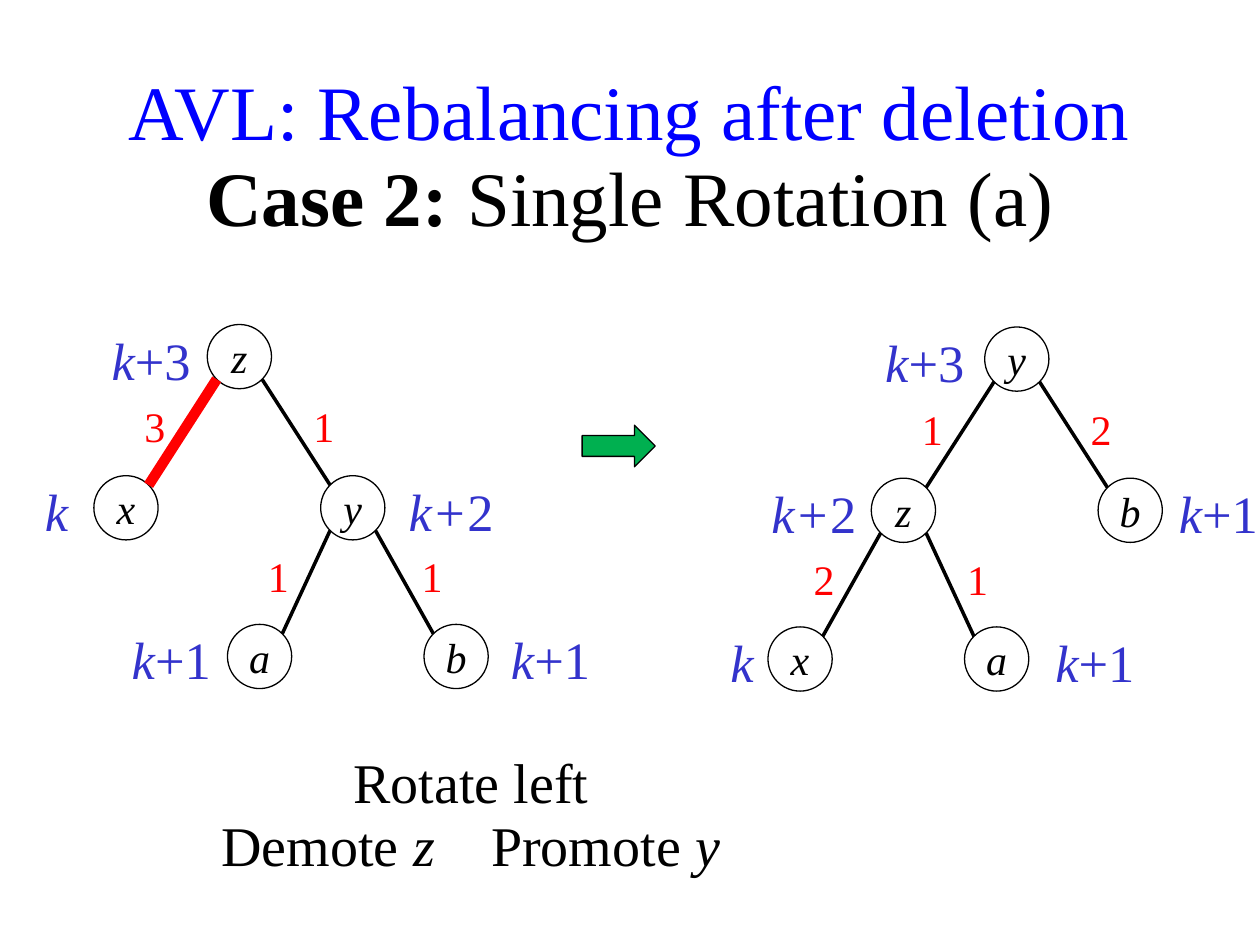
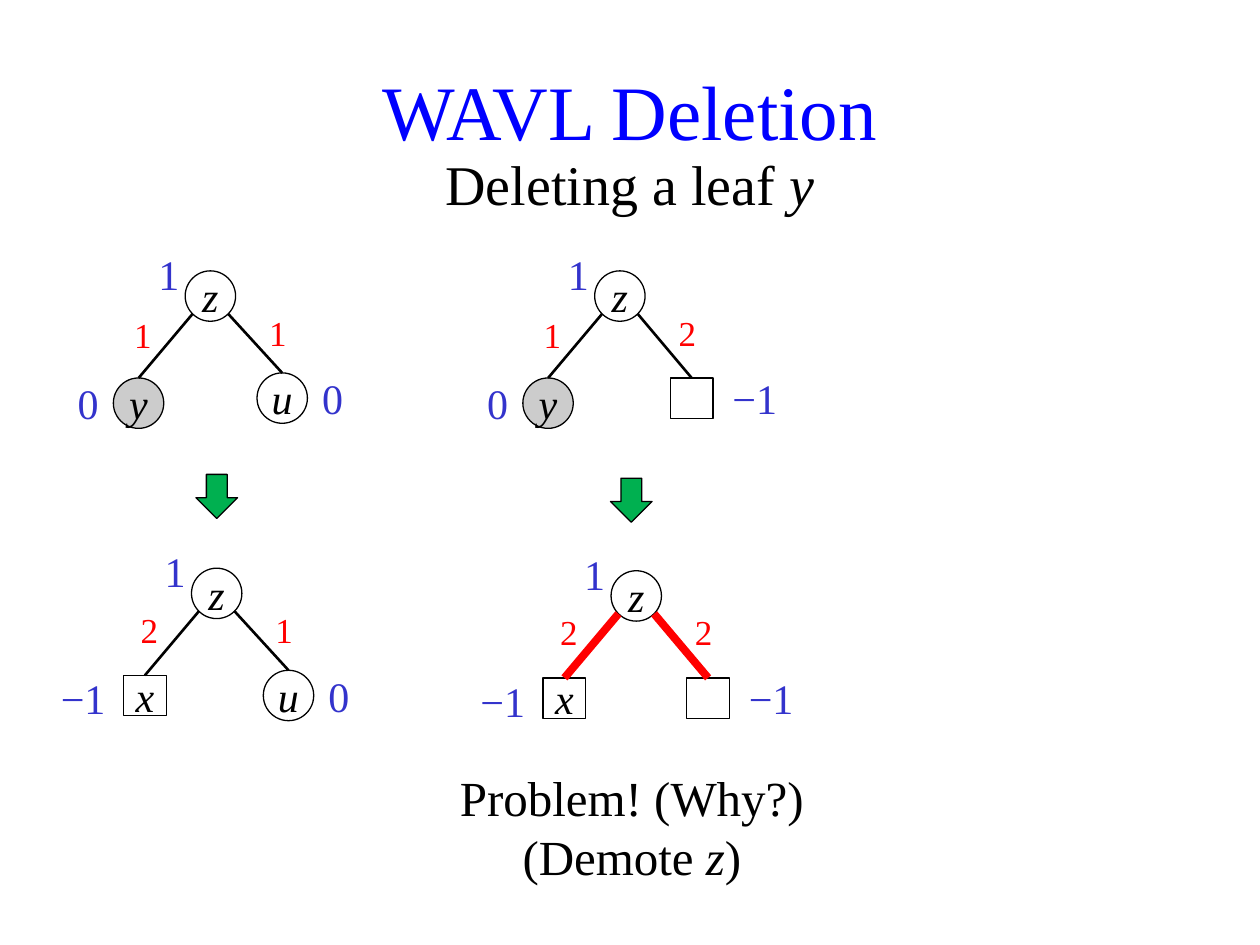
from dataclasses import dataclass
from typing import Any, NamedTuple

import pptx
import pptx.dml.color
import pptx.enum.shapes
import pptx.enum.text
import pptx.oxml
import pptx.oxml.ns
import pptx.util

SHAPE = pptx.enum.shapes.MSO_SHAPE
ALIGN = pptx.enum.text.PP_ALIGN
ANCHOR = pptx.enum.text.MSO_ANCHOR

# The slide is a grid of square cells: 100 columns by 75 rows.
COLUMNS, ROWS = 100, 75
CELL = pptx.util.Inches(10) // COLUMNS

FONT = "Times New Roman"
BLACK, TITLE_BLUE, RANK_BLUE = "000000", "0000FF", "3333CC"
RED, GREEN, GREY = "FF0000", "00B050", "CCCCCC"
NO_INSETS = dict(margin_left=0, margin_right=0, margin_top=0, margin_bottom=0)
OUTLINE = 0.75
DIAGONAL = 0.5 ** 0.5


class Run(NamedTuple):
    text: str
    italic: bool = False
    bold: bool = False


class Box(NamedTuple):
    left: float
    top: float
    width: float
    height: float


class Node(NamedTuple):
    """dx, dy run from the root to the node; rank_dx, rank_dy from the node to its rank."""
    label: str
    dx: float
    dy: float
    rank: tuple[Run, ...]
    rank_dx: float
    rank_dy: float = 0.2
    parent: int = 0
    weight: str = ""
    broken: bool = False
    external: bool = False
    fill: str | None = None


@dataclass
class TreeStyle:
    diameter: float
    rank_size: int
    weight_size: int
    edge_width: float
    broken_width: float
    weight_dx: float
    weight_dy: float
    edges_end_on_top: bool


@dataclass
class Tree:
    root_x: float
    root_y: float
    nodes: list[Node]
    mirror: int = 1


def cells(count: float) -> int:
    return round(count * CELL)


def color(hex_value: str) -> pptx.dml.color.RGBColor:
    return pptx.dml.color.RGBColor.from_string(hex_value)


def assign(target: Any, values: dict[str, Any]) -> None:
    for name, value in values.items():
        setattr(target, name, value)


def around(x: float, y: float, width: float, height: float) -> Box:
    return Box(x - width / 2, y - height / 2, width, height)


def emu(box: Box) -> list[int]:
    return [cells(side) for side in box]


def write(frame: Any, lines: list[tuple[Run, ...]], size: float, hex_color: str,
          align: Any = ALIGN.CENTER, **frame_format: Any) -> None:
    """Fill a text frame with one paragraph per line."""
    assign(frame, dict(word_wrap=True) | frame_format)
    for index, line in enumerate(lines):
        paragraph = frame.add_paragraph() if index else frame.paragraphs[0]
        paragraph.alignment = align
        for part in line:
            run = paragraph.add_run()
            run.text = part.text
            assign(run.font, dict(name=FONT, size=pptx.util.Pt(size),
                                  italic=part.italic, bold=part.bold))
            run.font.color.rgb = color(hex_color)


def add_text(shapes: Any, box: Box, lines: list[tuple[Run, ...]], size: float,
             hex_color: str = BLACK, **options: Any) -> Any:
    frame = shapes.add_textbox(*emu(box)).text_frame
    write(frame, lines, size, hex_color, **options)
    return frame


def add_label(shapes: Any, x: float, y: float, width: float, runs: tuple[Run, ...],
              size: float, hex_color: str) -> None:
    add_text(shapes, around(x, y, width, 5), [runs], size, hex_color,
             vertical_anchor=ANCHOR.MIDDLE, **NO_INSETS)


def add_outlined(shapes: Any, preset: Any, box: Box, fill: str | None) -> Any:
    shape = shapes.add_shape(preset, *emu(box))
    shape.shadow.inherit = False
    if fill:
        shape.fill.solid()
        shape.fill.fore_color.rgb = color(fill)
    else:
        shape.fill.background()
    shape.line.color.rgb = color(BLACK)
    shape.line.width = pptx.util.Pt(OUTLINE)
    return shape


def add_step_arrow(slide: Any, x: float, y: float, length: float, rotation: float = 0) -> None:
    arrow = add_outlined(slide.shapes, SHAPE.RIGHT_ARROW, around(x, y, length, 3.3), GREEN)
    arrow.rotation = rotation


def add_edge(shapes: Any, start: tuple[float, float], end: tuple[float, float],
             width: float, hex_color: str) -> Any:
    edge = shapes.add_connector(pptx.enum.shapes.MSO_CONNECTOR.STRAIGHT,
                                *(cells(value) for value in start + end))
    edge.line.color.rgb = color(hex_color)
    edge.line.width = pptx.util.Pt(width)
    pptx.oxml.ns.qn("a:effectLst")
    edge._element.spPr.append(pptx.oxml.parse_xml(
        f"<a:effectLst {pptx.oxml.ns.nsdecls('a')}/>"))
    return edge


def add_tree(slide: Any, tree: Tree, style: TreeStyle) -> None:
    """Draw nodes with ranks, and edges with rank differences, as one group."""
    shapes = slide.shapes.add_group_shape().shapes
    places = [(tree.root_x + tree.mirror * node.dx, tree.root_y + node.dy)
              for node in tree.nodes]
    reach = style.diameter / 2 * DIAGONAL
    for index, (node, (x, y)) in enumerate(zip(tree.nodes, places)):
        if node.external:
            shape = add_outlined(shapes, SHAPE.RECTANGLE, around(x, y, 3.4, 3.2), node.fill)
        else:
            shape = add_outlined(shapes, SHAPE.OVAL,
                                 around(x, y, style.diameter, style.diameter), node.fill)
        if node.label:
            write(shape.text_frame, [(Run(node.label, italic=True),)], 24, BLACK,
                  vertical_anchor=ANCHOR.MIDDLE, **NO_INSETS)
        add_label(shapes, x + node.rank_dx, y + node.rank_dy, 8 if len(node.rank) > 1 else 5,
                  node.rank, style.rank_size, RANK_BLUE)
        if not index:
            continue
        parent_x, parent_y = places[node.parent]
        side = 1 if x > parent_x else -1
        edge = add_edge(shapes, (parent_x + side * reach, parent_y + reach),
                        (x - side * reach, y - reach),
                        style.broken_width if node.broken else style.edge_width,
                        RED if node.broken else BLACK)
        if style.edges_end_on_top:
            edge.end_connect(shape, 0)
        add_label(shapes, (x + parent_x) / 2 + side * style.weight_dx,
                  (y + parent_y) / 2 + style.weight_dy, 4,
                  (Run(node.weight),), style.weight_size, RED)


def add_slide(deck: Any, title: str, subtitle: tuple[Run, ...], subtitle_size: int) -> Any:
    slide = deck.slides.add_slide(deck.slide_layouts.get_by_name("Title Only"))
    heading = slide.shapes.title
    assign(heading, dict(zip(("left", "top", "width", "height"),
                             emu(Box(0, 3.6, COLUMNS, 10.2)))))
    write(heading.text_frame, [(Run(title),)], 44, TITLE_BLUE, vertical_anchor=ANCHOR.MIDDLE)
    add_text(slide.shapes, Box(0, 11.4, COLUMNS, 8.4 if subtitle_size > 40 else 6.4),
             [subtitle], subtitle_size)
    return slide


K = Run("k", italic=True)
K1, K2, K3 = (K, Run("+1")), (Run("k+", italic=True), Run("2")), (K, Run("+3"))
ZERO, ONE, MINUS_ONE = (Run("0"),), (Run("1"),), (Run("−1"),)

# Offsets from the root; a rotation mirrors them.
OUTER, INNER = (-9, 12), (9, 12)
INNER_NEAR, INNER_FAR = (1.6, 23.8), (17.2, 23.8)
LEFT, LEFT_LEAF, RIGHT = (-5.7, 8.1), (-5.7, 8.5), (5.7, 8.1)

AVL_STYLE = TreeStyle(diameter=5.1, rank_size=30, weight_size=24, edge_width=2,
                      broken_width=6, weight_dx=2.2, weight_dy=-0.5, edges_end_on_top=False)
WAVL_STYLE = TreeStyle(diameter=4, rank_size=24, weight_size=20, edge_width=1.5,
                       broken_width=4.5, weight_dx=2.5, weight_dy=-1.2, edges_end_on_top=True)


def build_avl_slide(deck: Any) -> None:
    slide = add_slide(deck, "AVL: Rebalancing after deletion",
                      (Run("Case 2: ", bold=True), Run("Single Rotation (a)")), 44)
    before = Tree(19, 28.3, [
        Node("z", 0, 0, K3, -7),
        Node("x", *OUTER, (K,), -5.5, weight="3", broken=True),
        Node("y", *INNER, K2, 7.8, weight="1"),
        Node("a", *INNER_NEAR, K1, -7, parent=2, weight="1"),
        Node("b", *INNER_FAR, K1, 7.5, parent=2, weight="1"),
    ])
    after = Tree(80.7, 28.5, [
        Node("y", 0, 0, K3, -7.3),
        Node("b", *OUTER, K1, 7, weight="2"),
        Node("z", *INNER, K2, -7.1, weight="1"),
        Node("a", *INNER_NEAR, K1, 7.8, parent=2, weight="1"),
        Node("x", *INNER_FAR, (K,), -4.6, parent=2, weight="2"),
    ], mirror=-1)
    for tree in (before, after):
        add_tree(slide, tree, AVL_STYLE)
    add_step_arrow(slide, 49.1, 35.4, 5.8)
    add_text(slide.shapes, Box(7.9, 58.8, 59, 6.4), [(Run("Rotate left"),)], 32)
    rank_changes = add_text(
        slide.shapes, Box(16.6, 63.8, 47.2, 6.4),
        [(Run("Demote "), Run("z", italic=True), Run("\tPromote "), Run("y", italic=True))],
        32, align=ALIGN.LEFT)
    rank_changes.paragraphs[0]._p.get_or_add_pPr().append(pptx.oxml.parse_xml(
        f"<a:tabLst {pptx.oxml.ns.nsdecls('a')}>"
        f'<a:tab pos="{cells(21.4)}" algn="l"/></a:tabLst>'))


def build_wavl_slide(deck: Any) -> None:
    slide = add_slide(deck, "WAVL Deletion",
                      (Run("Deleting a leaf "), Run("y", italic=True)), 32)
    root = Node("z", 0, 0, ONE, -3.3, -1.8)
    deleted_leaf = Node("y", *LEFT_LEAF, ZERO, -4, 0, weight="1", fill=GREY)
    sibling = Node("u", *RIGHT, ZERO, 4, 0, weight="1")
    replacement = Node("x", *LEFT, MINUS_ONE, -4.9, weight="2", external=True)
    missing = Node("", *RIGHT, MINUS_ONE, 5, 0, weight="2", external=True)
    trees = [
        Tree(16.7, 23.5, [root, deleted_leaf, sibling]),
        Tree(49.2, 23.5, [root, deleted_leaf, missing]),
        Tree(17.2, 47.1, [root, replacement, sibling]),
        Tree(50.5, 47.3, [root, replacement._replace(broken=True),
                          missing._replace(broken=True)]),
    ]
    for tree in trees:
        add_tree(slide, tree, WAVL_STYLE)
    for x, y in ((17.2, 39.4), (50.1, 39.7)):
        add_step_arrow(slide, x, y, 3.5, rotation=90)
    add_text(slide.shapes, Box(33, 60.4, 34.3, 10.4),
             [(Run("Problem! (Why?)"),),
              (Run("(Demote "), Run("z", italic=True), Run(")"))], 28)


def main() -> None:
    deck = pptx.Presentation()
    deck.slide_width, deck.slide_height = COLUMNS * CELL, ROWS * CELL
    build_avl_slide(deck)
    build_wavl_slide(deck)
    deck.save("out.pptx")


if __name__ == "__main__":
    main()
